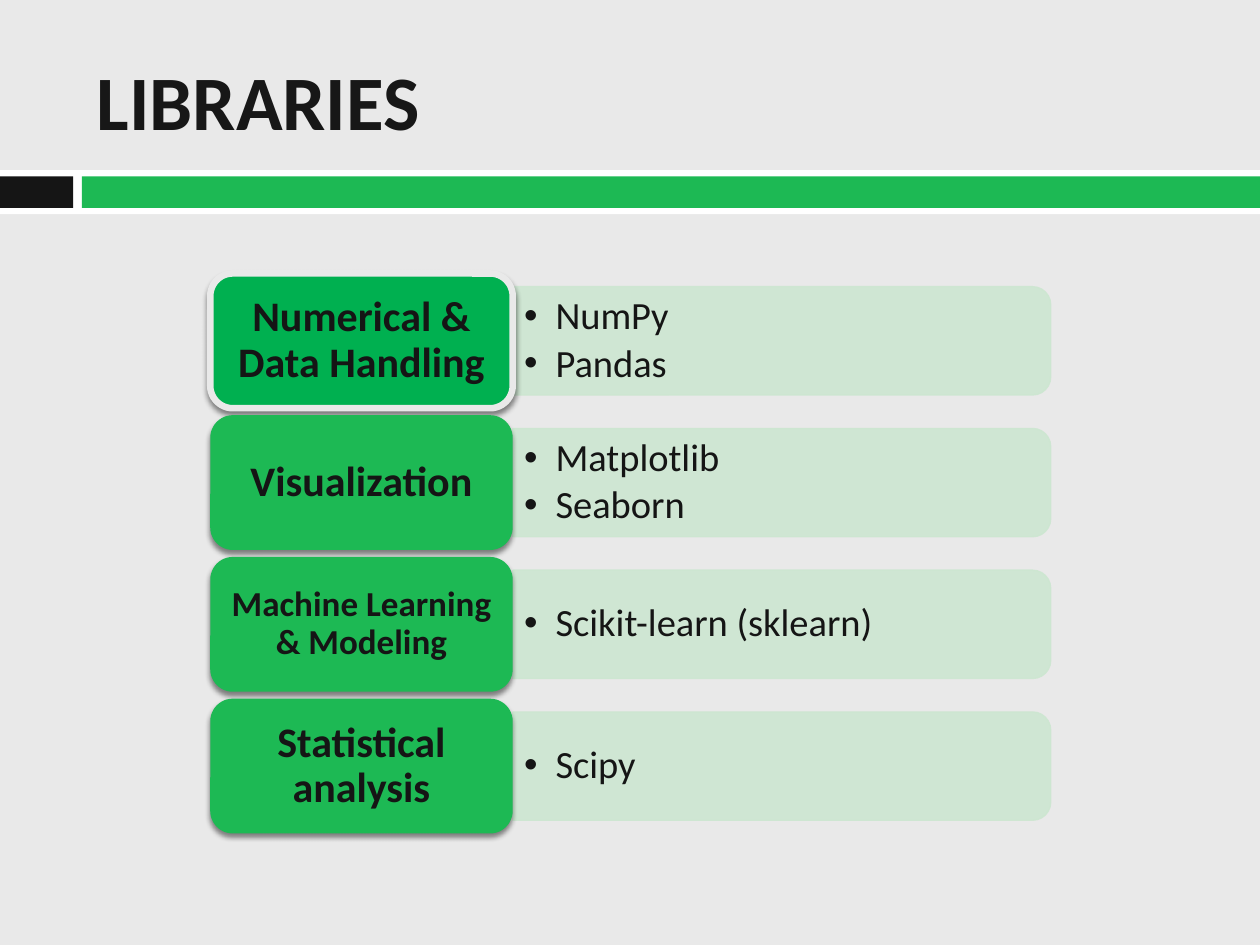
import pptx
import pptx.util
import pptx.dml.color
import pptx.enum.shapes
import pptx.enum.text
import pptx.oxml.ns
import lxml.etree

Pt = pptx.util.Pt
RGB = pptx.dml.color.RGBColor
Kind = pptx.enum.shapes.MSO_SHAPE
Align = pptx.enum.text.PP_ALIGN
Anchor = pptx.enum.text.MSO_ANCHOR
qn = pptx.oxml.ns.qn

GRAY = RGB(0xE9, 0xE9, 0xE9)
WHITE = RGB(0xFF, 0xFF, 0xFF)
BLACK = RGB(0x15, 0x15, 0x15)
DARK = RGB(0x17, 0x17, 0x17)
GREEN = RGB(0x1D, 0xB9, 0x54)
DEEP = RGB(0x00, 0xB0, 0x50)
PALE = RGB(0xCD, 0xE6, 0xD1)

deck = pptx.Presentation()
deck.slide_width, deck.slide_height = Pt(720), Pt(540)
slide = deck.slides.add_slide(deck.slide_layouts[6])
slide.background.fill.solid()
slide.background.fill.fore_color.rgb = GRAY


def add_block(kind, left, top, width, height, color):
    block = slide.shapes.add_shape(kind, Pt(left), Pt(top), Pt(width), Pt(height))
    block.shadow.inherit = False
    block.fill.solid()
    block.fill.fore_color.rgb = color
    block.line.fill.background()
    return block


def add_run(para, text, size, color, bold=False):
    run = para.add_run()
    run.text = text
    run.font.name = "Calibri"
    run.font.size = Pt(size)
    run.font.bold = bold
    run.font.color.rgb = color


for left, top, width, height, color in [
    (0, 97.2, 720, 25.2, WHITE),
    (0, 100.8, 41.8, 18, BLACK),
    (46.8, 100.8, 673.2, 18, GREEN),
]:
    add_block(Kind.RECTANGLE, left, top, width, height, color)

title = slide.shapes.add_textbox(Pt(48.2), Pt(18), Pt(642), Pt(77.8))
title.text_frame.word_wrap = True
title.text_frame.vertical_anchor = Anchor.MIDDLE
add_run(title.text_frame.paragraphs[0], "LIBRARIES", 44, DARK, True)

rows = [
    ("Numerical & Data Handling", 24, DEEP, ["NumPy", "Pandas"]),
    ("Visualization", 24, GREEN, ["Matplotlib", "Seaborn"]),
    ("Machine Learning & Modeling", 20, GREEN, ["Scikit-learn (sklearn)"]),
    ("Statistical analysis", 24, GREEN, ["Scipy"]),
]
LEFT, EDGE, LONG, THICK, HIGH = 120.2, 293, 307.4, 61.9, 77

for i, (name, size, color, items) in enumerate(rows):
    mid = 194.8 + 81 * i

    panel = add_block(Kind.ROUND_2_SAME_RECTANGLE, EDGE + (LONG - THICK) / 2,
                      mid - LONG / 2, THICK, LONG, PALE)
    panel.rotation = 90
    panel.line.color.rgb = PALE
    panel.line.width = Pt(0.79)
    for tint in panel._element.spPr.iter(qn("a:srgbClr")):
        lxml.etree.SubElement(tint, qn("a:alpha"), val="90000")

    box = slide.shapes.add_textbox(Pt(EDGE), Pt(mid - 27.8), Pt(303.8), Pt(55.6))
    frame = box.text_frame
    frame.word_wrap = True
    frame.vertical_anchor = Anchor.MIDDLE
    frame.margin_left = frame.margin_right = Pt(6.5)
    for j, item in enumerate(items):
        para = frame.add_paragraph() if j else frame.paragraphs[0]
        para.line_spacing = 0.9
        para.space_after = Pt(3.3)
        props = para._p.get_or_add_pPr()
        props.set("marL", str(Pt(18)))
        props.set("indent", str(-Pt(18)))
        lxml.etree.SubElement(props, qn("a:buFont"), typeface="Arial")
        lxml.etree.SubElement(props, qn("a:buChar"), char="•")
        add_run(para, item, 22, BLACK)

    label = add_block(Kind.ROUNDED_RECTANGLE, LEFT, mid - HIGH / 2,
                      EDGE - LEFT, HIGH, color)
    if i == 0:
        label.line.color.rgb = GRAY
        label.line.width = Pt(3.75)
    glow = lxml.etree.SubElement(
        label._element.spPr.find(qn("a:effectLst")), qn("a:outerShdw"),
        blurRad=str(Pt(3)), dist=str(Pt(2.4)), dir="5400000", rotWithShape="0")
    shade = lxml.etree.SubElement(glow, qn("a:srgbClr"), val="000000")
    lxml.etree.SubElement(shade, qn("a:alpha"), val="45000")
    frame = label.text_frame
    frame.word_wrap = True
    frame.vertical_anchor = Anchor.MIDDLE
    frame.margin_left = frame.margin_right = Pt(6)
    para = frame.paragraphs[0]
    para.alignment = Align.CENTER
    para.line_spacing = 0.9
    add_run(para, name, size, BLACK, True)

deck.save("out.pptx")
